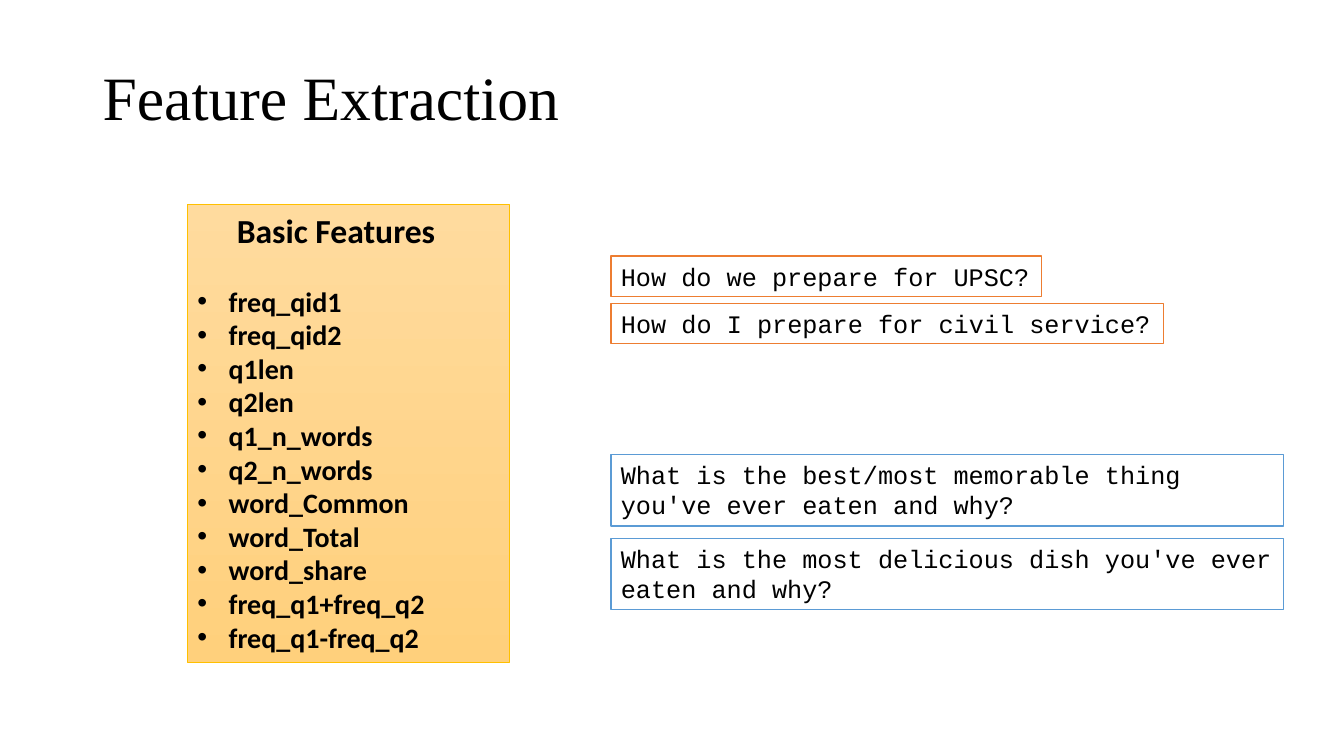
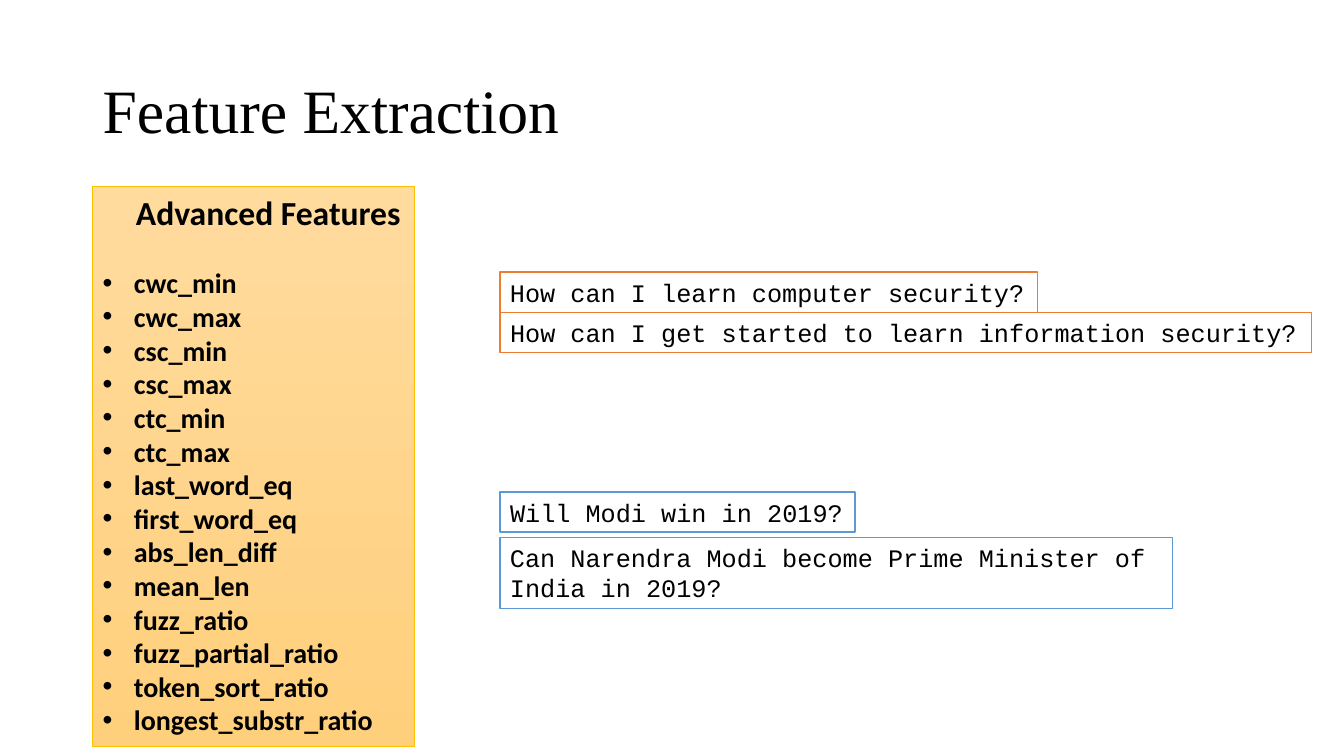
from dataclasses import dataclass

from lxml import etree
from pptx import Presentation
from pptx.dml.color import RGBColor
from pptx.enum import shapes, text
from pptx.oxml import ns
from pptx.util import Inches, Pt

BLACK = "000000"
WHITE = "FFFFFF"
ORANGE = "ED7D31"
BLUE = "5B9BD5"
GOLD = "FFC000"
PANEL_GRADIENT = ("FFDB9E", "FFD07C")
PANEL_WIDTH = 3.19
BULLET_INDENT = 0.31
ONE_LINE, TWO_LINES = 0.4, 0.71


@dataclass
class Question:
    words: str
    top: float
    width: float
    height: float
    outline: str


@dataclass
class FeaturePanel:
    heading: str
    heading_indent: float
    left: float
    top: float
    height: float
    features: list[str]


@dataclass
class FeatureSlide:
    title_top: float
    panel: FeaturePanel
    questions_left: float
    questions: list[Question]


SLIDES = [
    FeatureSlide(
        0.27,
        FeaturePanel(
            "Basic Features", 0.39, 1.86, 2.03, 4.54,
            ["freq_qid1", "freq_qid2", "q1len", "q2len", "q1_n_words", "q2_n_words",
             "word_Common", "word_Total", "word_share",
             "freq_q1+freq_q2", "freq_q1-freq_q2"],
        ),
        6.06,
        [
            Question("How do we prepare for UPSC?", 2.54, 4.27, ONE_LINE, ORANGE),
            Question("How do I prepare for civil service?", 3.01, 5.48, ONE_LINE, ORANGE),
            Question("What is the best/most memorable thing you've ever eaten and why?",
                     4.51, 6.67, TWO_LINES, BLUE),
            Question("What is the most delicious dish you've ever eaten and why?",
                     5.34, 6.67, TWO_LINES, BLUE),
        ],
    ),
    FeatureSlide(
        0.4,
        FeaturePanel(
            "Advanced Features", 0.33, 0.92, 1.85, 5.55,
            ["cwc_min", "cwc_max", "csc_min", "csc_max", "ctc_min", "ctc_max",
             "last_word_eq", "first_word_eq", "abs_len_diff", "mean_len", "fuzz_ratio",
             "fuzz_partial_ratio", "token_sort_ratio", "longest_substr_ratio"],
        ),
        4.96,
        [
            Question("How can I learn computer security?", 2.7, 5.33, ONE_LINE, ORANGE),
            Question("How can I get started to learn information security?",
                     3.1, 8.05, ONE_LINE, ORANGE),
            Question("Will Modi win in 2019?", 4.88, 3.52, ONE_LINE, BLUE),
            Question("Can Narendra Modi become Prime Minister of India in 2019?",
                     5.33, 6.67, TWO_LINES, BLUE),
        ],
    ),
]


def rgb(color: str) -> RGBColor:
    return RGBColor.from_string(color)


def write(paragraph, words: str, *, font: str = "Calibri", size: float = 20,
          bold: bool = False, color: str = BLACK, indent: float = 0,
          bullet: bool = False, after: float = 0, spacing: float = 1.0) -> None:
    run = paragraph.add_run()
    run.text = words
    run.font.name = font
    run.font.size = Pt(size)
    run.font.bold = bold
    run.font.color.rgb = rgb(color)
    paragraph.alignment = text.PP_ALIGN.LEFT
    paragraph.space_after = Pt(after)
    paragraph.line_spacing = spacing
    properties = paragraph._p.get_or_add_pPr()
    properties.set("marL", str(Inches(indent)))
    if bullet:
        properties.set("indent", str(-Inches(indent)))
        etree.SubElement(properties, ns.qn("a:buFont")).set("typeface", "Arial")
        etree.SubElement(properties, ns.qn("a:buChar")).set("char", "•")


def add_box(slide, left: float, top: float, width: float, height: float,
            outline: str, line_width: float):
    """Add an outlined rectangle whose text starts at the top left."""
    box = slide.shapes.add_shape(shapes.MSO_SHAPE.RECTANGLE, Inches(left), Inches(top),
                                 Inches(width), Inches(height))
    box.shadow.inherit = False
    box.line.color.rgb = rgb(outline)
    box.line.width = Pt(line_width)
    box.text_frame.word_wrap = True
    box.text_frame.vertical_anchor = text.MSO_ANCHOR.TOP
    box.text_frame.auto_size = text.MSO_AUTO_SIZE.SHAPE_TO_FIT_TEXT
    return box


def add_title(slide, top: float) -> None:
    title = slide.shapes.add_textbox(Inches(0.92), Inches(top), Inches(11.5), Inches(1.45))
    title.text_frame.word_wrap = True
    title.text_frame.vertical_anchor = text.MSO_ANCHOR.MIDDLE
    write(title.text_frame.paragraphs[0], "Feature Extraction",
          font="Times New Roman", size=44, spacing=0.9)


def add_panel(slide, panel: FeaturePanel) -> None:
    box = add_box(slide, panel.left, panel.top, PANEL_WIDTH, panel.height, GOLD, 0.5)
    box.fill.gradient()
    box.fill.gradient_angle = 270
    for stop, color in zip(box.fill.gradient_stops, PANEL_GRADIENT):
        stop.color.rgb = rgb(color)
    frame = box.text_frame
    write(frame.paragraphs[0], panel.heading, size=24, bold=True,
          indent=panel.heading_indent, after=24.4)
    for feature in panel.features:
        write(frame.add_paragraph(), feature, bold=True, indent=BULLET_INDENT, bullet=True)


def add_question(slide, left: float, question: Question) -> None:
    box = add_box(slide, left, question.top, question.width, question.height,
                  question.outline, 1)
    box.fill.solid()
    box.fill.fore_color.rgb = rgb(WHITE)
    write(box.text_frame.paragraphs[0], question.words, font="Courier New", size=18)


def main() -> None:
    deck = Presentation()
    deck.slide_width, deck.slide_height = Inches(13.33), Inches(7.5)
    blank = deck.slide_layouts[6]
    for content in SLIDES:
        slide = deck.slides.add_slide(blank)
        add_title(slide, content.title_top)
        add_panel(slide, content.panel)
        for question in content.questions:
            add_question(slide, content.questions_left, question)
    deck.save("out.pptx")


if __name__ == "__main__":
    main()
